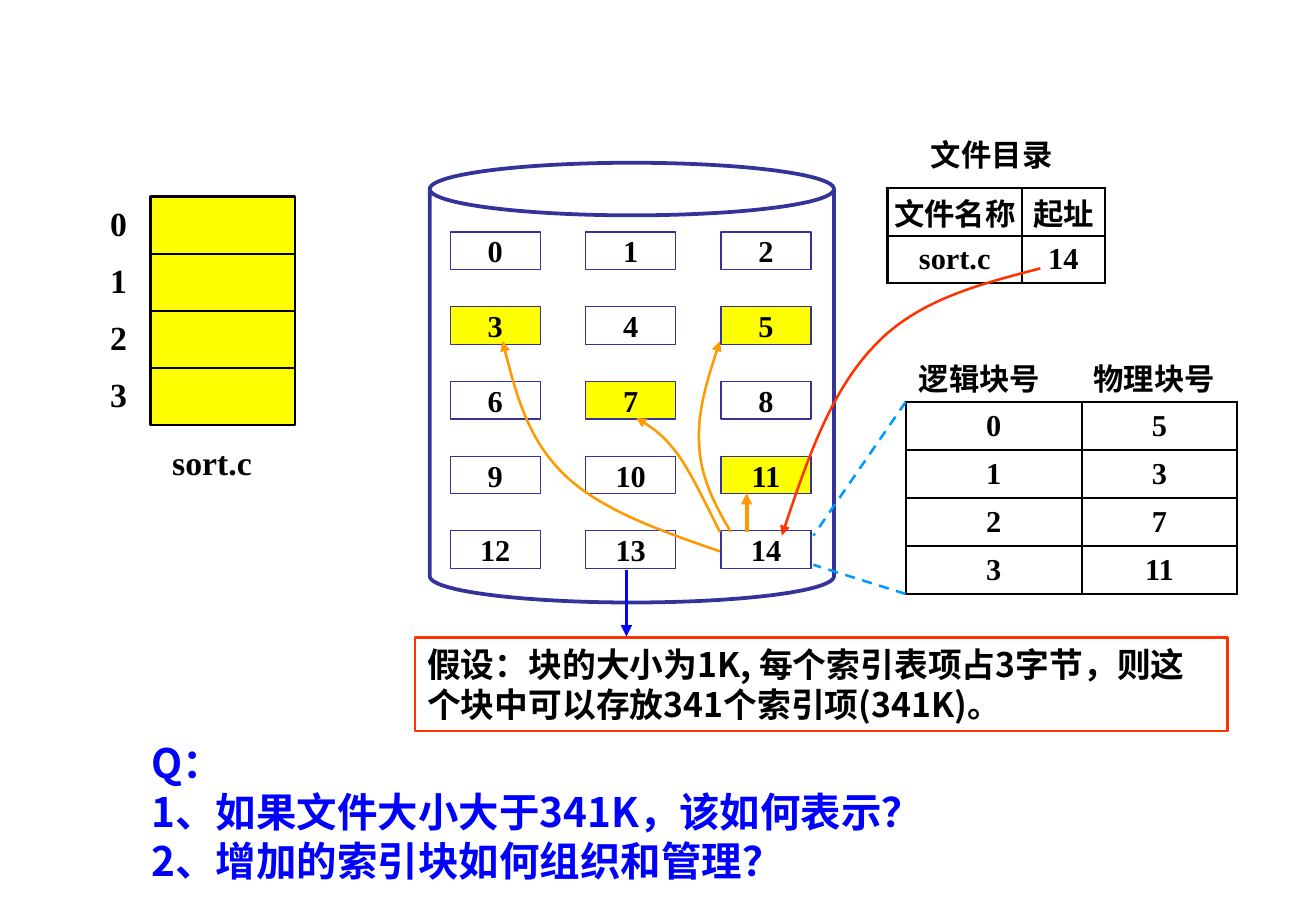
"""Build the slide on indexed file allocation."""
from lxml.etree import SubElement as Sub
from pptx import Presentation
from pptx.dml.color import RGBColor
from pptx.enum.dml import MSO_LINE as Dash
from pptx.enum.shapes import MSO_CONNECTOR as Link, MSO_SHAPE as Shape
from pptx.enum.text import MSO_ANCHOR as Anchor, PP_ALIGN as Align
from pptx.oxml.ns import qn
from pptx.util import Pt

SCALE = 9144
SERIF, SANS = "Times New Roman", "Noto Sans CJK SC"
BLACK, WHITE, YELLOW = "000000", "FFFFFF", "FFFF00"
NAVY, BLUE, SKY = "333399", "0000FF", "0099FF"
RED, ORANGE = "FF3300", "FF9900"
USED = {3, 5, 7, 11}


def px(num):
    """Turn px, 100 to the inch, into EMU."""
    return round(num * SCALE)


def hue(code):
    """Turn a hex string into a colour."""
    return RGBColor.from_string(code)


def write(frame, text, size=18, face=SERIF, color=BLACK, align=Align.LEFT):
    """Fill a text frame with bold text, one paragraph a line."""
    frame.text = text
    look = {"name": face, "size": Pt(size), "bold": True}
    for para in frame.paragraphs:
        para.alignment = align
        for run in para.runs:
            for key, val in look.items():
                setattr(run.font, key, val)
            run.font.color.rgb = hue(color)


def set_east(shape, face):
    """Use the face for East Asian text too."""
    for prop in shape.element.iter(qn("a:rPr")):
        Sub(prop, qn("a:ea"), typeface=face)


def label(slide, box, text, **look):
    """Add a text box."""
    item = slide.shapes.add_textbox(*map(px, box))
    item.text_frame.word_wrap = True
    write(item.text_frame, text, **look)
    return item


def block(slide, kind, box, fill, color, width):
    """Add a preset shape with an outline."""
    item = slide.shapes.add_shape(kind, *map(px, box))
    item.shadow.inherit = False
    if fill:
        item.fill.solid()
        item.fill.fore_color.rgb = hue(fill)
    else:
        item.fill.background()
    item.line.color.rgb = hue(color)
    item.line.width = Pt(width)
    return item


def stroke(item, color, width, arrow):
    """Format a line and give it an arrowhead if asked."""
    item.line.color.rgb = hue(color)
    item.line.width = Pt(width)
    if arrow:
        Sub(item.element.spPr.get_or_add_ln(), qn("a:tailEnd"), type="triangle")


def link(slide, ends, color, width=1.5, arrow=True, dash=None):
    """Add a straight line or arrow."""
    item = slide.shapes.add_connector(Link.STRAIGHT, *map(px, ends))
    if dash:
        item.line.dash_style = dash
    stroke(item, color, width, arrow)
    Sub(item.element.spPr, qn("a:effectLst"))


def curve(slide, dots, color):
    """Add a curved arrow from a start and triples of Bezier points."""
    pen = slide.shapes.build_freeform(*dots[0], scale=SCALE)
    pen.add_line_segments(dots[1:], close=False)
    item = pen.convert_to_shape()
    item.shadow.inherit = False
    item.fill.background()
    stroke(item, color, 1.5, True)
    trail = next(item.element.iter(qn("a:path")))
    legs = trail.findall(qn("a:lnTo"))
    for num in range(0, len(legs), 3):
        bend = Sub(trail, qn("a:cubicBezTo"))
        for leg in legs[num:num + 3]:
            bend.append(leg[0])
            trail.remove(leg)


def edge(cell):
    """Draw black borders round a cell."""
    prop = cell._tc.get_or_add_tcPr()
    for side in ("lnL", "lnR", "lnT", "lnB"):
        line = Sub(prop, qn(f"a:{side}"), w=str(Pt(1.5)))
        Sub(Sub(line, qn("a:solidFill")), qn("a:srgbClr"), val=BLACK)


def grid(slide, box, cols, rows):
    """Add a bordered table with the given column widths."""
    table = slide.shapes.add_table(len(rows), len(cols), *map(px, box)).table
    table.first_row = table.horz_banding = False
    for col, width in zip(table.columns, cols):
        col.width = px(width)
    for row, words in zip(table.rows, rows):
        row.height = px(box[3] / len(rows))
        for cell, word in zip(row.cells, words):
            edge(cell)
            cell.fill.solid()
            cell.fill.fore_color.rgb = hue(WHITE)
            cell.vertical_anchor = Anchor.MIDDLE
            for side in ("left", "right", "top", "bottom"):
                setattr(cell, f"margin_{side}", 0)
            write(cell.text_frame, word, align=Align.CENTER)


def draw_file(slide, left, top):
    """Draw the file as a stack of four logical blocks."""
    for num in range(4):
        y = top + 47 * num
        block(slide, Shape.RECTANGLE, (left, y, 119, 47), YELLOW, BLACK, 1.5)
        label(slide, (left - 43, y, 34, 44), str(num), size=20)
    label(slide, (left + 8, top + 197, 94, 44), "sort.c", size=20)


def draw_disk(slide, left, top):
    """Draw the disk with its fifteen physical blocks."""
    for num in range(15):
        row, col = divmod(num, 3)
        box = (left + 17 + 111.5 * col, top + 57 + 61.5 * row, 74, 31)
        fill = YELLOW if num in USED else WHITE
        item = block(slide, Shape.RECTANGLE, box, fill, NAVY, 0.75)
        item.text_frame.word_wrap = False
        item.text_frame.vertical_anchor = Anchor.MIDDLE
        write(item.text_frame, str(num), align=Align.CENTER)
    can = block(slide, Shape.CAN, (left, top, 333, 362), None, NAVY, 2.25)
    can.adjustments[0] = 0.13


def draw_folder(slide, left, top):
    """Draw the file directory."""
    label(slide, (left + 26, top - 48, 145, 40), "文件目录")
    rows = [("文件名称", "起址"), ("sort.c", "14")]
    grid(slide, (left, top, 179, 78), (111, 68), rows)


def draw_index(slide, left, top):
    """Draw the index table and the dashed lines to its block."""
    for x, text in ((1, "逻辑块号"), (145, "物理块号")):
        label(slide, (left + x, top - 39, 136, 40), text)
    rows = [(str(num), home) for num, home in enumerate(("5", "3", "7", "11"))]
    grid(slide, (left, top, 273, 158), (145, 128), rows)
    for start, end in ((0, 110), (158, 134)):
        link(slide, (left, top + start, left - 76, top + end), SKY,
             arrow=False, dash=Dash.DASH)


def draw_note(slide, left, top):
    """Draw the framed assumption and its arrow."""
    item = block(slide, Shape.RECTANGLE, (left, top, 669, 77), None, RED, 1.5)
    item.text_frame.word_wrap = True
    item.text_frame.vertical_anchor = Anchor.TOP
    write(item.text_frame, "假设：块的大小为1K, 每个索引表项占3字节，则这个块中"
          "可以存放341个索引项(341K)。", size=20, face=SANS)
    set_east(item, SANS)
    link(slide, (left + 174, top - 56, left + 174, top - 1), BLUE, 2.25)


def draw_query(slide, left, top):
    """Write the questions."""
    item = label(slide, (left, top, 819, 130),
                 "Q：\n1、如果文件大小大于341K，该如何表示？\n"
                 "2、增加的索引块如何组织和管理？",
                 size=24, face=SANS, color=BLUE)
    set_east(item, SANS)


def draw_arrows(slide):
    """Draw the arrows from the directory and from the index block."""
    curve(slide, [(857, 221), (807, 234), (756, 247), (721, 284),
                  (685, 321), (664, 381), (644, 441)], RED)
    link(slide, (615, 438, 615, 406), ORANGE, 2.25)
    for dots in (
        [(602, 438), (589, 416), (577, 393), (576, 367),
         (574, 341), (583, 311), (593, 281)],
        [(593, 438), (581, 414), (570, 391), (559, 375),
         (547, 359), (536, 351), (524, 344)],
        [(593, 454), (544, 437), (495, 420), (465, 391),
         (435, 362), (424, 321), (414, 281)],
    ):
        curve(slide, dots, ORANGE)


def main():
    """Build and save the slide."""
    deck = Presentation()
    deck.slide_width, deck.slide_height = px(1084), px(750)
    slide = deck.slides.add_slide(deck.slide_layouts[6])
    draw_file(slide, 124, 162)
    draw_disk(slide, 354, 134)
    draw_folder(slide, 731, 155)
    draw_index(slide, 746, 331)
    draw_note(slide, 342, 525)
    draw_query(slide, 115, 603)
    draw_arrows(slide)
    deck.save("out.pptx")


if __name__ == "__main__":
    main()
